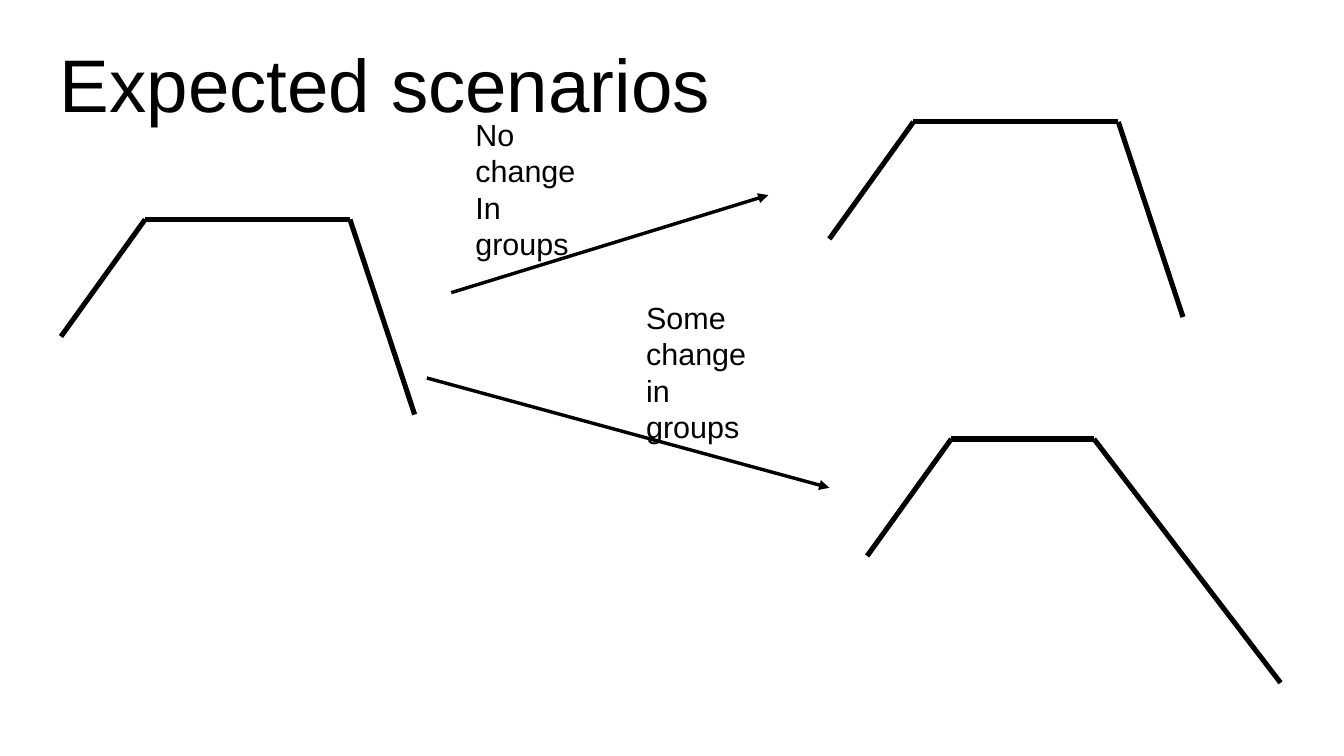
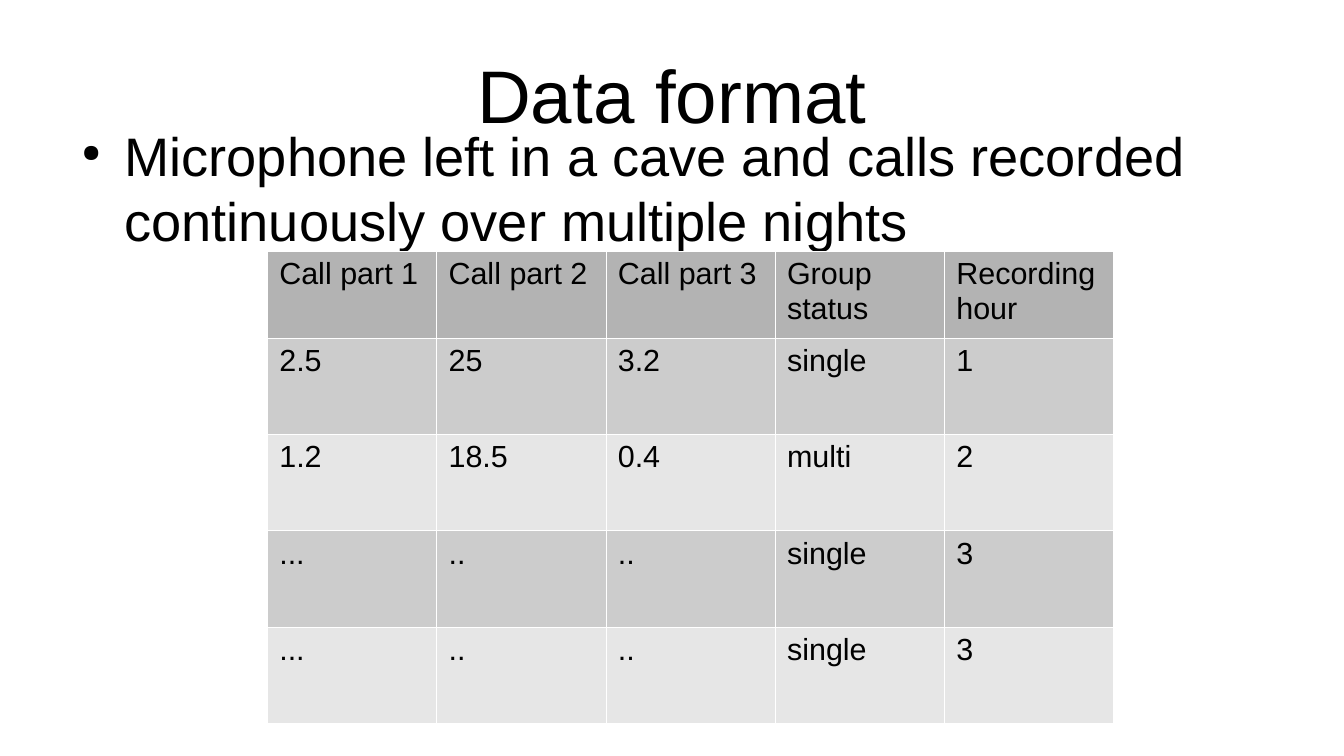
import pptx
import pptx.dml.color
import pptx.enum.shapes
import pptx.enum.text
import pptx.oxml
import pptx.oxml.ns
import pptx.util

BLACK = pptx.dml.color.RGBColor(0x00, 0x00, 0x00)
WHITE = pptx.dml.color.RGBColor(0xFF, 0xFF, 0xFF)
HEADER_GREY = pptx.dml.color.RGBColor(0xB3, 0xB3, 0xB3)
BAND_GREYS = (
    pptx.dml.color.RGBColor(0xCC, 0xCC, 0xCC),
    pptx.dml.color.RGBColor(0xE6, 0xE6, 0xE6),
)

FONT = "Arial"
TITLE_SIZE, BODY_SIZE, SMALL_SIZE = 44, 32, 18

# The slide is a grid of square cells, ten to the inch.
COLUMNS, ROWS = 110.2, 62
RISE = (6.9, 9.6)
TEXT_COLUMNS = 99.2

TABLE_ROWS = (
    ("Call part 1", "Call part 2", "Call part 3", "Group status", "Recording hour"),
    ("2.5", "25", "3.2", "single", "1"),
    ("1.2", "18.5", "0.4", "multi", "2"),
    ("...", "..", "..", "single", "3"),
    ("...", "..", "..", "single", "3"),
)


def cells(*counts):
    """Turn counts of grid cells into lengths."""
    return [pptx.util.Inches(count / 10) for count in counts]


def add_xml(parent, xml, index=None):
    namespace = pptx.oxml.ns.nsdecls("a")
    element = pptx.oxml.parse_xml(xml.replace("NS", namespace, 1))
    parent.insert(len(parent) if index is None else index, element)


def style_text(text_frame, size):
    for paragraph in text_frame.paragraphs:
        for run in paragraph.runs:
            run.font.name = FONT
            run.font.size = pptx.util.Pt(size)
            run.font.color.rgb = BLACK


def add_text(slide, box, text, size, inset=True):
    text_frame = slide.shapes.add_textbox(*cells(*box)).text_frame
    text_frame.word_wrap = True
    if not inset:
        text_frame.margin_left = text_frame.margin_right = 0
        text_frame.margin_top = text_frame.margin_bottom = 0
    text_frame.text = text
    style_text(text_frame, size)
    return text_frame


def add_title(slide, text, left, top):
    box = (left, top, TEXT_COLUMNS, 10.4)
    text_frame = add_text(slide, box, text, TITLE_SIZE, inset=False)
    text_frame.vertical_anchor = pptx.enum.text.MSO_ANCHOR.MIDDLE
    text_frame.paragraphs[0].alignment = pptx.enum.text.PP_ALIGN.CENTER


def add_bullet(slide, box, text):
    text_frame = add_text(slide, box, text, BODY_SIZE, inset=False)
    properties = text_frame.paragraphs[0]._p.get_or_add_pPr()
    left, indent = cells(4.7, -3.5)
    properties.set("marL", str(left))
    properties.set("indent", str(indent))
    add_xml(properties, '<a:buSzPct NS val="45000"/>')
    add_xml(properties, '<a:buChar NS char="●"/>')


def add_line(shapes, start, end, width):
    connector = shapes.add_connector(
        pptx.enum.shapes.MSO_CONNECTOR.STRAIGHT, *cells(*start, *end))
    connector.line.color.rgb = BLACK
    connector.line.width = pptx.util.Pt(width)
    add_xml(connector._element.spPr, "<a:effectLst NS/>")
    return connector


def add_arrow(slide, start, end):
    connector = add_line(slide.shapes, start, end, 0)
    add_xml(connector.line._get_or_add_ln(), '<a:tailEnd NS type="triangle"/>')


def add_call(slide, foot, plateau, fall):
    """Draw a call as a rise, a plateau and a fall, starting at its left foot."""
    peak = (foot[0] + RISE[0], foot[1] - RISE[1])
    shoulder = (peak[0] + plateau, peak[1])
    end = (shoulder[0] + fall[0], shoulder[1] + fall[1])
    points = (foot, peak, shoulder, end)
    group = slide.shapes.add_group_shape()
    for line_start, line_end in zip(points, points[1:]):
        add_line(group.shapes, line_start, line_end, 3)


def style_cell(cell, fill):
    properties = cell._tc.get_or_add_tcPr()
    for index, side in enumerate("LRTB"):
        add_xml(properties, f'<a:ln{side} NS w="720"><a:solidFill>'
                f'<a:srgbClr val="{WHITE}"/></a:solidFill></a:ln{side}>', index)
    cell.fill.solid()
    cell.fill.fore_color.rgb = fill
    style_text(cell.text_frame, SMALL_SIZE)


def add_table(slide, left, top, column_width, row_heights, rows):
    width = column_width * len(rows[0])
    table = slide.shapes.add_table(
        len(rows), len(rows[0]),
        *cells(left, top, width, sum(row_heights))).table
    table.first_row = table.horz_banding = False
    for column in table.columns:
        column.width, = cells(column_width)
    for row_index, texts in enumerate(rows):
        table.rows[row_index].height, = cells(row_heights[row_index])
        fill = BAND_GREYS[(row_index - 1) % 2] if row_index else HEADER_GREY
        for column_index, text in enumerate(texts):
            cell = table.cell(row_index, column_index)
            cell.text_frame.text = text
            style_cell(cell, fill)


def build_scenarios(slide):
    add_title(slide, "Expected scenarios", -18, 1.6)
    steep_fall = (5.3, 16)
    add_call(slide, (5, 27.6), 16.8, steep_fall)
    add_call(slide, (68, 19.6), 16.8, steep_fall)
    add_call(slide, (71.1, 45.6), 11.7, (15.3, 20))
    add_arrow(slide, (37, 24), (63, 16))
    add_arrow(slide, (35, 31), (68, 40))
    label_size = (11, 12.2)
    add_text(slide, (38, 9, *label_size), "No change\nIn\ngroups", SMALL_SIZE)
    add_text(slide, (52, 24, *label_size), "Some change\nin\ngroups", SMALL_SIZE)


def build_data_format(slide):
    add_title(slide, "Data format", 5.5, 2.5)
    add_bullet(slide, (5.5, 10, TEXT_COLUMNS, 17.5),
               "Microphone left in a cave and calls recorded "
               "continuously over multiple nights")
    row_heights = [7.1] + [7.9] * (len(TABLE_ROWS) - 1)
    add_table(slide, 21.9, 20.6, 13.88, row_heights, TABLE_ROWS)


def main():
    presentation = pptx.Presentation()
    presentation.slide_width, presentation.slide_height = cells(COLUMNS, ROWS)
    blank_layout = presentation.slide_layouts[6]
    for build in (build_scenarios, build_data_format):
        build(presentation.slides.add_slide(blank_layout))
    presentation.save("out.pptx")


if __name__ == "__main__":
    main()
